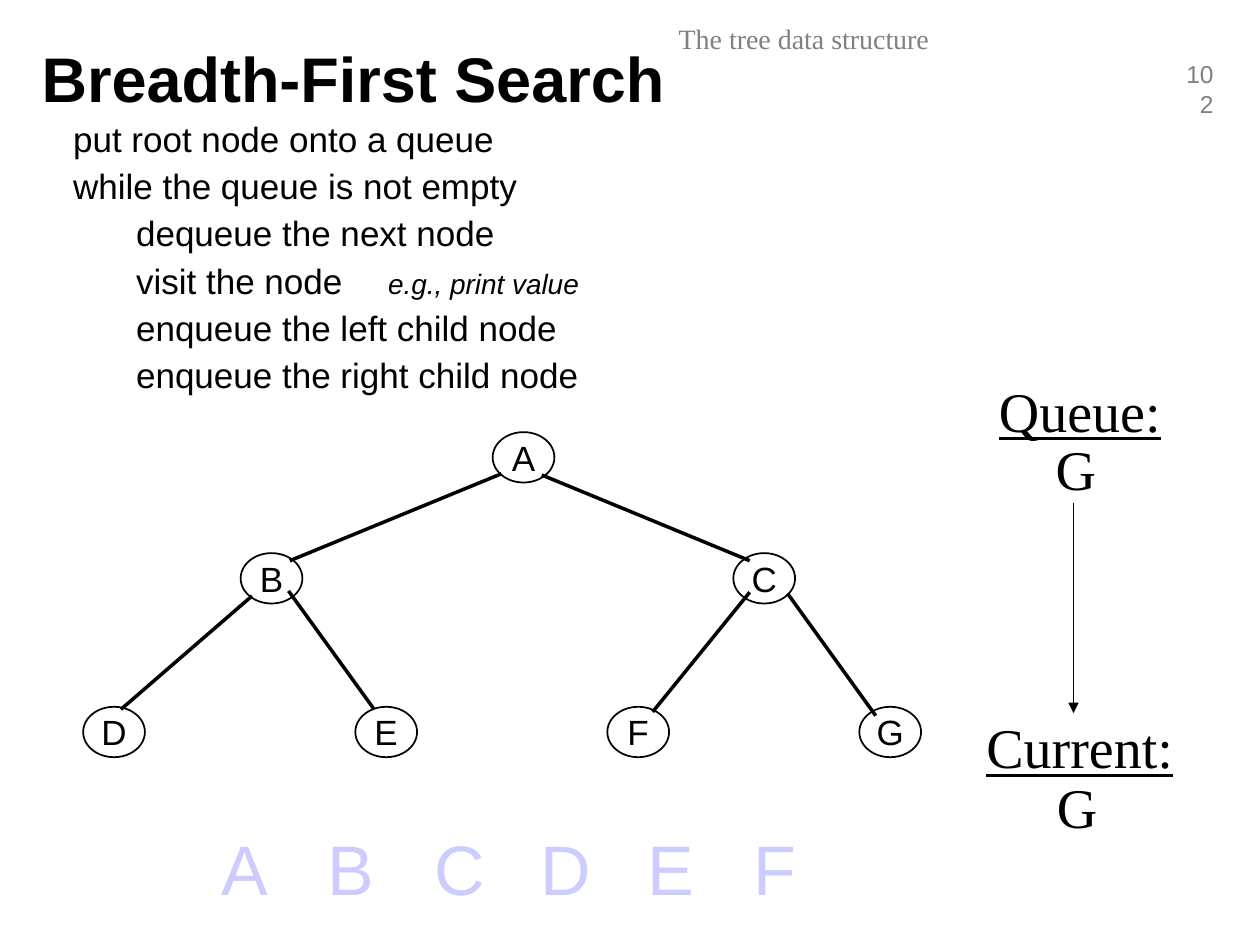
"""Build the breadth-first search slide with its tree, queue and visit order."""
import pptx
import pptx.util
from lxml import etree
from pptx.dml.color import RGBColor
from pptx.enum.shapes import MSO_CONNECTOR, MSO_SHAPE
from pptx.enum.text import MSO_ANCHOR, MSO_AUTO_SIZE, PP_ALIGN
from pptx.oxml.ns import qn
from pptx.util import Inches, Pt

BLACK = RGBColor(0, 0, 0)
WHITE = RGBColor(255, 255, 255)
GRAY = RGBColor(128, 128, 128)
LAVENDER = RGBColor(204, 204, 255)
SANS, SERIF = "Arial", "Times New Roman"

TITLE = "Breadth-First Search"
STEPS = [
    (1, "put root node onto a queue", ""),
    (1, "while the queue is not empty", ""),
    (2, "dequeue the next node", ""),
    (2, "visit the node", "e.g., print value"),
    (2, "enqueue the left child node", ""),
    (2, "enqueue the right child node", ""),
]
LEVELS = [
    (3.43, {"A": 3.91}),
    (4.39, {"B": 1.91, "C": 5.82}),
    (5.61, {"D": 0.66, "E": 2.82, "F": 4.82, "G": 6.82}),
]
NODE_SIZE = (0.49, 0.4)
BRANCHES = [
    ((3.98, 3.76), (2.3, 4.45)),
    ((4.3, 3.77), (5.95, 4.45)),
    ((2, 4.73), (0.96, 5.63)),
    ((5.95, 4.7), (5.18, 5.65)),
    ((6.25, 4.71), (6.95, 5.68)),
    ((2.29, 4.69), (2.97, 5.63)),
]
STATE_LABELS = [
    ("Queue:", (7.83, 2.94, 1.5, 0.64), True),
    ("Current:", (7.73, 5.61, 1.69, 0.64), True),
    ("G", (8.29, 6.08, 0.53, 0.64), False),
    ("G", (8.28, 3.4, 0.53, 0.64), False),
]
VISITED = "ABCDEF"
VISITED_STEP = 0.845


def style(font, name, size, color=BLACK):
    font.name, font.size = name, Pt(size)
    font.color.rgb = color


def place(shape, at):
    shape.left, shape.top, shape.width, shape.height = map(Inches, at)


def add_tabs(para, stops):
    tabs = etree.SubElement(para._p.get_or_add_pPr(), qn("a:tabLst"))
    for stop in stops:
        etree.SubElement(tabs, qn("a:tab"), pos=str(Inches(stop)), algn="l")


def add_label(page, text, at, name, size, color=BLACK, align=PP_ALIGN.LEFT, wrap=False):
    box = page.shapes.add_textbox(*map(Inches, at))
    box.text_frame.word_wrap = wrap
    para = box.text_frame.paragraphs[0]
    para.text = text
    para.alignment = align
    style(para.font, name, size, color)
    return para


def add_line(page, start, end, width):
    line = page.shapes.add_connector(MSO_CONNECTOR.STRAIGHT, *map(Inches, start + end))
    line.line.color.rgb = BLACK
    line.line.width = Pt(width)
    etree.SubElement(line._element.spPr, qn("a:effectLst"))
    return line


def add_node(page, letter, left, top):
    node = page.shapes.add_shape(MSO_SHAPE.OVAL, *map(Inches, (left, top) + NODE_SIZE))
    node.shadow.inherit = False
    node.fill.solid()
    node.fill.fore_color.rgb = WHITE
    node.line.color.rgb = BLACK
    node.line.width = Pt(1)
    frame = node.text_frame
    frame.word_wrap = False
    frame.margin_left = frame.margin_right = frame.margin_top = frame.margin_bottom = 0
    frame.vertical_anchor = MSO_ANCHOR.MIDDLE
    para = frame.paragraphs[0]
    para.text = letter
    para.alignment = PP_ALIGN.CENTER
    style(para.font, SANS, 20)


def fill_title(title):
    place(title, (0.23, 0.15, 8.03, 0.93))
    frame = title.text_frame
    frame.text = TITLE
    frame.vertical_anchor = MSO_ANCHOR.MIDDLE
    frame.auto_size = MSO_AUTO_SIZE.NONE
    para = frame.paragraphs[0]
    para.alignment = PP_ALIGN.LEFT
    style(para.font, SANS, 36)
    para.font.bold = True


def fill_steps(body):
    place(body, (-0.02, 0.88, 5.78, 2.29))
    frame = body.text_frame
    frame.auto_size = MSO_AUTO_SIZE.NONE
    frame.word_wrap = True
    for index, (level, step, remark) in enumerate(STEPS):
        para = frame.add_paragraph() if index else frame.paragraphs[0]
        para.level = level
        para.space_before = Pt(3 if index else 0)
        props = para._p.get_or_add_pPr()
        props.set("marL", str(Inches(level / 2)))
        props.set("indent", "0")
        etree.SubElement(props, qn("a:buNone"))
        if remark:
            add_tabs(para, [4])
        style(para.font, SANS, 20)
        para.add_run().text = step + ("\t" if remark else "")
        if remark:
            span = para.add_run()
            span.text = remark
            span.font.size = Pt(16)
            span.font.italic = True


def add_visit_order(page):
    box = page.shapes.add_textbox(*map(Inches, (1.66, 6.5, 4.77, 0.76)))
    para = box.text_frame.paragraphs[0]
    add_tabs(para, [VISITED_STEP * i for i in range(1, len(VISITED))])
    span = para.add_run()
    span.text = "\t".join(VISITED)
    style(span.font, SANS, 40, LAVENDER)
    effects = etree.Element(qn("a:effectLst"))
    shadow = etree.SubElement(effects, qn("a:outerShdw"), dist="28400", dir="2700000")
    etree.SubElement(shadow, qn("a:srgbClr"), val=str(BLACK))
    span._r.rPr.find(qn("a:solidFill")).addnext(effects)


def main():
    deck = pptx.Presentation()
    deck.slide_width, deck.slide_height = Inches(10), Inches(7.5)
    page = deck.slides.add_slide(deck.slide_layouts[1])
    add_label(page, "102", (9.29, 0.42, 0.44, 0.33), SANS, 14, GRAY, PP_ALIGN.RIGHT, True)
    add_label(page, "The tree data structure", (3.19, 0.12, 6.38, 0.4), SERIF, 16, GRAY,
              PP_ALIGN.CENTER, True)
    fill_title(page.shapes.title)
    fill_steps(page.placeholders[1])
    for top, nodes in LEVELS:
        for letter, left in nodes.items():
            add_node(page, letter, left, top)
    for start, end in BRANCHES:
        add_line(page, start, end, 2)
    for text, at, underlined in STATE_LABELS:
        add_label(page, text, at, SERIF, 32).font.underline = underlined
    arrow = add_line(page, (8.52, 3.99), (8.52, 5.66), 1)
    etree.SubElement(arrow.line._get_or_add_ln(), qn("a:tailEnd"), type="triangle")
    add_visit_order(page)
    deck.save("out.pptx")


if __name__ == "__main__":
    main()
